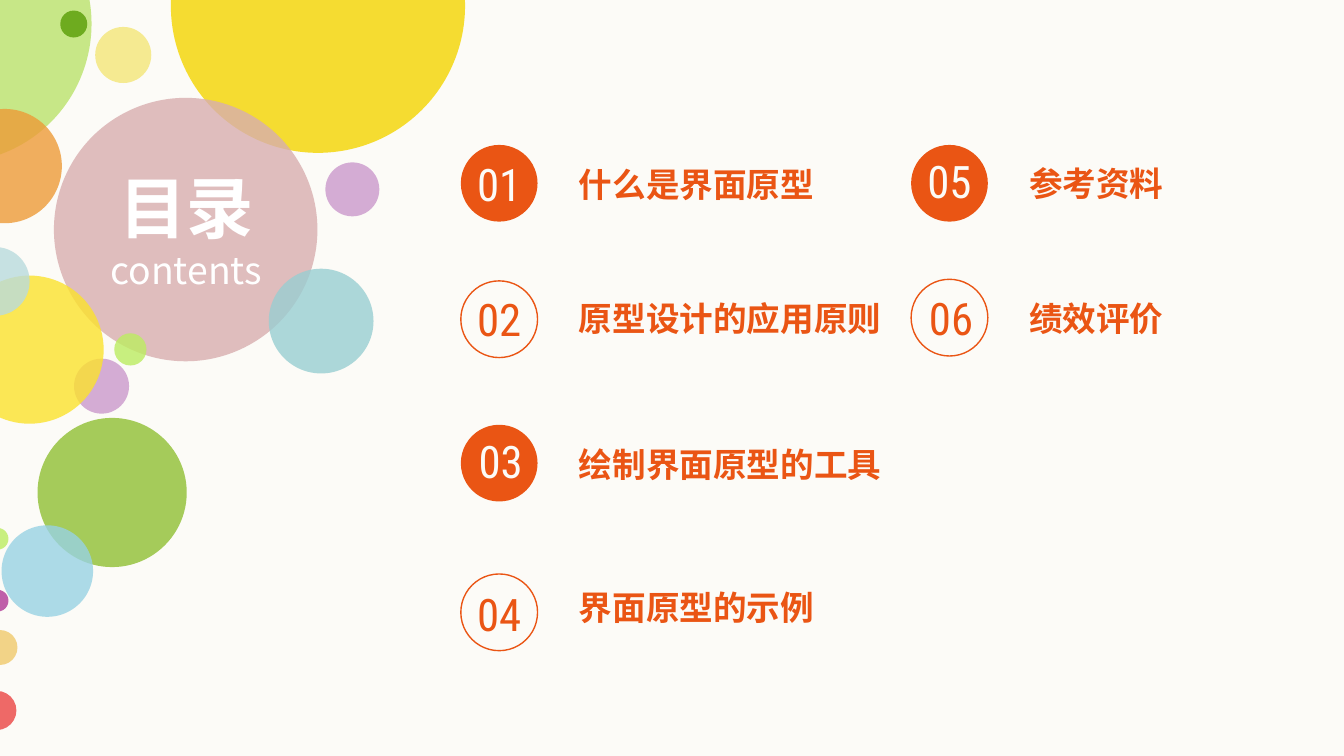
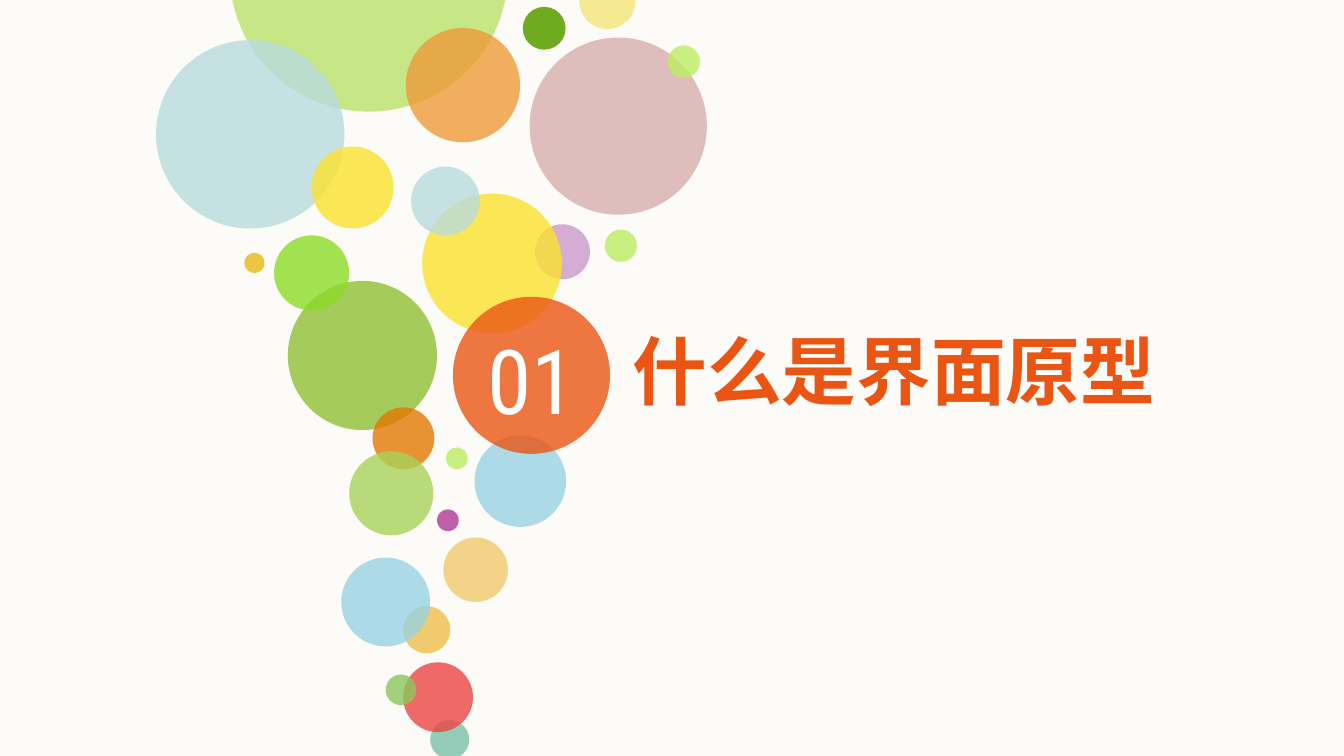
from typing import NamedTuple

from lxml import etree
from pptx import Presentation
from pptx.dml.color import RGBColor
from pptx.enum.shapes import MSO_SHAPE
from pptx.enum.text import MSO_AUTO_SIZE, PP_ALIGN
from pptx.oxml.ns import qn
from pptx.util import Cm, Pt

OVAL = MSO_SHAPE.OVAL
GROW = MSO_AUTO_SIZE.SHAPE_TO_FIT_TEXT
LEFT, CENTER = PP_ALIGN.LEFT, PP_ALIGN.CENTER

HEAD_FONT = "Noto Sans CJK SC"
NUMBER_FONT = "Roboto Condensed"

# Colours
PAPER = RGBColor(0xFC, 0xFB, 0xF7)
WHITE = RGBColor(0xFF, 0xFF, 0xFF)
ACCENT = RGBColor(0xEA, 0x55, 0x14)
PALE_GREEN = RGBColor(0xBA, 0xE3, 0x6B)
DARK_GREEN = RGBColor(0x6E, 0xAB, 0x1F)
LEAF = RGBColor(0xA5, 0xCB, 0x5A)
SOFT_LEAF = RGBColor(0xA9, 0xD2, 0x5A)
BRIGHT_GREEN = RGBColor(0x8C, 0xDB, 0x27)
LIME = RGBColor(0xBC, 0xED, 0x61)
MOSS = RGBColor(0x8D, 0xC6, 0x5B)
ORANGE = RGBColor(0xED, 0x9B, 0x38)
DEEP_ORANGE = RGBColor(0xE2, 0x79, 0x02)
CREAM = RGBColor(0xF5, 0xEA, 0x91)
SUN = RGBColor(0xF4, 0xD5, 0x00)
YELLOW = RGBColor(0xFB, 0xE2, 0x2D)
GOLD = RGBColor(0xE9, 0xB9, 0x15)
SAND = RGBColor(0xF0, 0xCA, 0x6C)
ROSE = RGBColor(0xD8, 0xAE, 0xAF)
RED = RGBColor(0xEB, 0x45, 0x44)
LILAC = RGBColor(0xCB, 0x99, 0xCC)
MAGENTA = RGBColor(0xB0, 0x38, 0x96)
TEAL = RGBColor(0x99, 0xCE, 0xD2)
MIST = RGBColor(0xB9, 0xDB, 0xDD)
SKY = RGBColor(0x98, 0xD2, 0xE3)
JADE = RGBColor(0x7B, 0xBF, 0xAA)

BADGE_SIZE = 1.45
LABEL_OFFSET = 1.98
ROW_HEIGHT = 1.02


class Bubble(NamedTuple):
    """A filled circle, measured in centimetres."""
    left: float
    top: float
    size: float
    color: RGBColor
    opacity: int = 80


class Line(NamedTuple):
    """One paragraph of text with its format."""
    text: str
    size: int
    color: RGBColor
    font: str = HEAD_FONT
    bold: bool = False


class Entry(NamedTuple):
    """One numbered line of the contents list."""
    number: str
    label: str
    left: float
    badge_top: float
    number_top: float
    label_top: float
    label_width: float
    nudge: float = 0


CONTENTS_BUBBLES = [
    Bubble(-3.53, -2.18, 5.26, PALE_GREEN),
    Bubble(1.14, 0.2, 0.51, DARK_GREEN, 100),
    Bubble(-0.99, 2.06, 2.16, ORANGE),
    Bubble(1.8, 0.51, 1.06, CREAM, 100),
    Bubble(3.23, -2.67, 5.56, SUN),
    Bubble(1.02, 1.85, 4.98, ROSE),
    Bubble(5.08, 5.08, 1.98, TEAL),
    Bubble(6.15, 3.07, 1.02, LILAC),
    Bubble(0.71, 7.9, 2.82, LEAF, 100),
    Bubble(2.16, 6.3, 0.61, LIME),
    Bubble(1.4, 6.78, 1.04, LILAC),
    Bubble(-0.84, 5.21, 2.8, YELLOW),
    Bubble(-0.25, 9.98, 0.41, LIME),
    Bubble(-0.25, 11.15, 0.41, MAGENTA),
    Bubble(-0.33, 11.91, 0.66, SAND),
    Bubble(-0.43, 13.06, 0.74, RED),
    Bubble(-0.74, 4.67, 1.3, MIST),
    Bubble(0.03, 9.93, 1.73, SKY),
]

SECTION_BUBBLES = [
    Bubble(4.34, -3.15, 5.26, PALE_GREEN),
    Bubble(9.88, 0.13, 0.81, DARK_GREEN, 100),
    Bubble(2.95, 0.76, 3.56, MIST),
    Bubble(7.67, 0.53, 2.16, ORANGE),
    Bubble(10.95, -0.51, 1.06, CREAM, 100),
    Bubble(10.01, 0.71, 3.35, ROSE),
    Bubble(5.44, 5.31, 2.82, LEAF, 100),
    Bubble(12.62, 0.86, 0.61, LIME),
    Bubble(11.43, 4.34, 0.61, LIME),
    Bubble(10.11, 4.24, 1.04, LILAC),
    Bubble(7.98, 3.66, 2.64, YELLOW),
    Bubble(5.89, 2.77, 1.55, YELLOW),
    Bubble(5.18, 4.45, 1.42, BRIGHT_GREEN),
    Bubble(4.62, 4.78, 0.38, GOLD),
    Bubble(8.43, 8.46, 0.41, LIME),
    Bubble(8.26, 9.63, 0.41, MAGENTA),
    Bubble(8.38, 10.16, 1.22, SAND),
    Bubble(7.62, 11.46, 0.89, SAND, 100),
    Bubble(8.13, 13.61, 0.74, JADE),
    Bubble(7.62, 12.52, 1.32, RED),
    Bubble(7.29, 12.75, 0.58, MOSS),
    Bubble(6.45, 10.54, 1.68, SKY),
    Bubble(7.77, 3.15, 1.3, MIST),
    Bubble(8.97, 8.23, 1.73, SKY),
    Bubble(7.04, 7.7, 1.17, DEEP_ORANGE),
    Bubble(6.6, 8.53, 1.59, SOFT_LEAF),
    Bubble(8.56, 5.61, 2.97, ACCENT),
]

ENTRIES = [
    Entry("01", "什么是界面原型", 8.71, 2.74, 2.97, 2.97, 5.21),
    Entry("02", "原型设计的应用原则", 8.71, 5.31, 5.51, 5.51, 7.01),
    Entry("03", "绘制界面原型的工具", 8.71, 8.03, 8.2, 8.26, 6.81, 0.03),
    Entry("04", "界面原型的示例", 8.71, 10.85, 11.1, 10.97, 6.81),
    Entry("05", "参考资料", 17.22, 2.74, 2.9, 2.95, 6.81),
    Entry("06", "绩效评价", 17.22, 5.28, 5.49, 5.51, 5.21, 0.03),
]


def add_circle(s, left: float, top: float, size: float):
    sp = s.shapes.add_shape(OVAL, Cm(left), Cm(top), Cm(size), Cm(size))
    sp.shadow.inherit = False
    return sp


def add_bubble(s, bubble: Bubble) -> None:
    sp = add_circle(s, bubble.left, bubble.top, bubble.size)
    sp.fill.solid()
    sp.fill.fore_color.rgb = bubble.color
    sp.line.fill.background()
    if bubble.opacity < 100:
        color = sp.fill._xPr.find(qn("a:solidFill"))[0]
        etree.SubElement(color, qn("a:alpha"), val=str(bubble.opacity * 1000))


def add_ring(s, left: float, top: float) -> None:
    sp = add_circle(s, left, top, BADGE_SIZE)
    sp.fill.background()
    sp.line.color.rgb = ACCENT
    sp.line.width = Pt(0.75)


def add_text(s, left: float, top: float, width: float, height: float,
             lines: list[Line], align=CENTER, inset: bool = False) -> None:
    sp = s.shapes.add_textbox(Cm(left), Cm(top), Cm(width), Cm(height))
    tf = sp.text_frame
    tf.word_wrap = True
    tf.auto_size = GROW
    if not inset:
        tf.margin_left = tf.margin_top = tf.margin_right = tf.margin_bottom = 0
    tf.text = "\n".join(line.text for line in lines)
    for p, line in zip(tf.paragraphs, lines):
        p.alignment = align
        r = p.runs[0]
        r.font.size = Pt(line.size)
        r.font.bold = line.bold
        r.font.name = line.font
        r.font.color.rgb = line.color
        # East Asian characters take their own typeface
        etree.SubElement(r.font._element, qn("a:ea"), typeface=line.font)


def add_entry(s, entry: Entry, filled: bool) -> None:
    if filled:
        add_bubble(s, Bubble(entry.left, entry.badge_top, BADGE_SIZE, ACCENT, 100))
    else:
        add_ring(s, entry.left, entry.badge_top)
    add_text(s, entry.left + entry.nudge, entry.number_top, BADGE_SIZE, ROW_HEIGHT,
             [Line(entry.number, 24, PAPER if filled else ACCENT, NUMBER_FONT)])
    add_text(s, entry.left + LABEL_OFFSET, entry.label_top, entry.label_width,
             ROW_HEIGHT, [Line(entry.label, 18, ACCENT, bold=True)], LEFT, inset=True)


def add_bubble_slide(prs, bubbles: list[Bubble]):
    s = prs.slides.add_slide(prs.slide_layouts[6])
    s.background.fill.solid()
    s.background.fill.fore_color.rgb = PAPER
    for bubble in bubbles:
        add_bubble(s, bubble)
    return s


def build_contents(prs) -> None:
    s = add_bubble_slide(prs, CONTENTS_BUBBLES)
    add_text(s, 1.6, 3.15, 3.84, 2.39,
             [Line("目录", 36, WHITE, bold=True), Line("contents", 20, WHITE)])
    # Odd entries have a filled badge, even ones a ring
    for i, entry in enumerate(ENTRIES):
        add_entry(s, entry, filled=i % 2 == 0)


def build_section(prs) -> None:
    s = add_bubble_slide(prs, SECTION_BUBBLES)
    add_text(s, 9.04, 6.15, 2.03, 2.06, [Line("01", 48, WHITE, NUMBER_FONT)])
    add_text(s, 11.96, 6.15, 10.34, 1.7,
             [Line("什么是界面原型", 40, ACCENT, bold=True)], LEFT)


def main() -> None:
    prs = Presentation()
    prs.slide_width, prs.slide_height = Cm(25.4), Cm(14.29)
    build_contents(prs)
    build_section(prs)
    prs.save("out.pptx")


if __name__ == "__main__":
    main()
